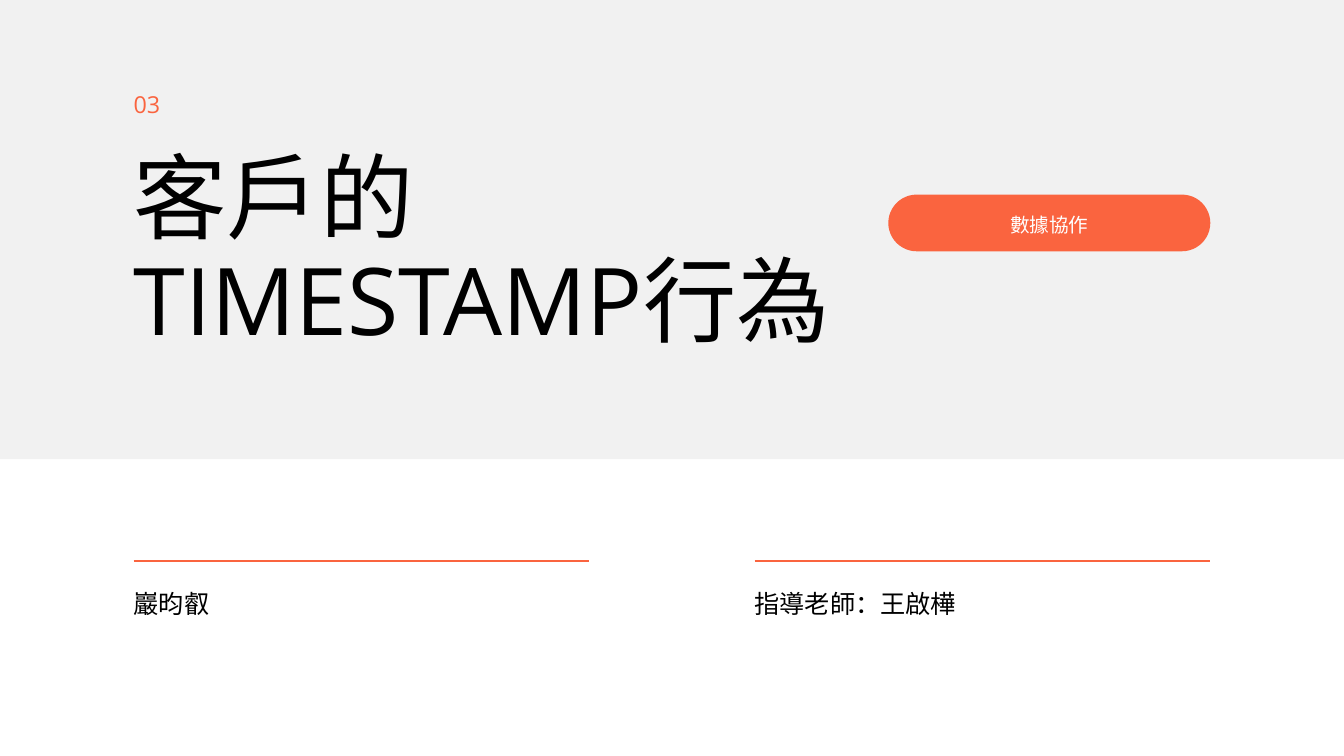
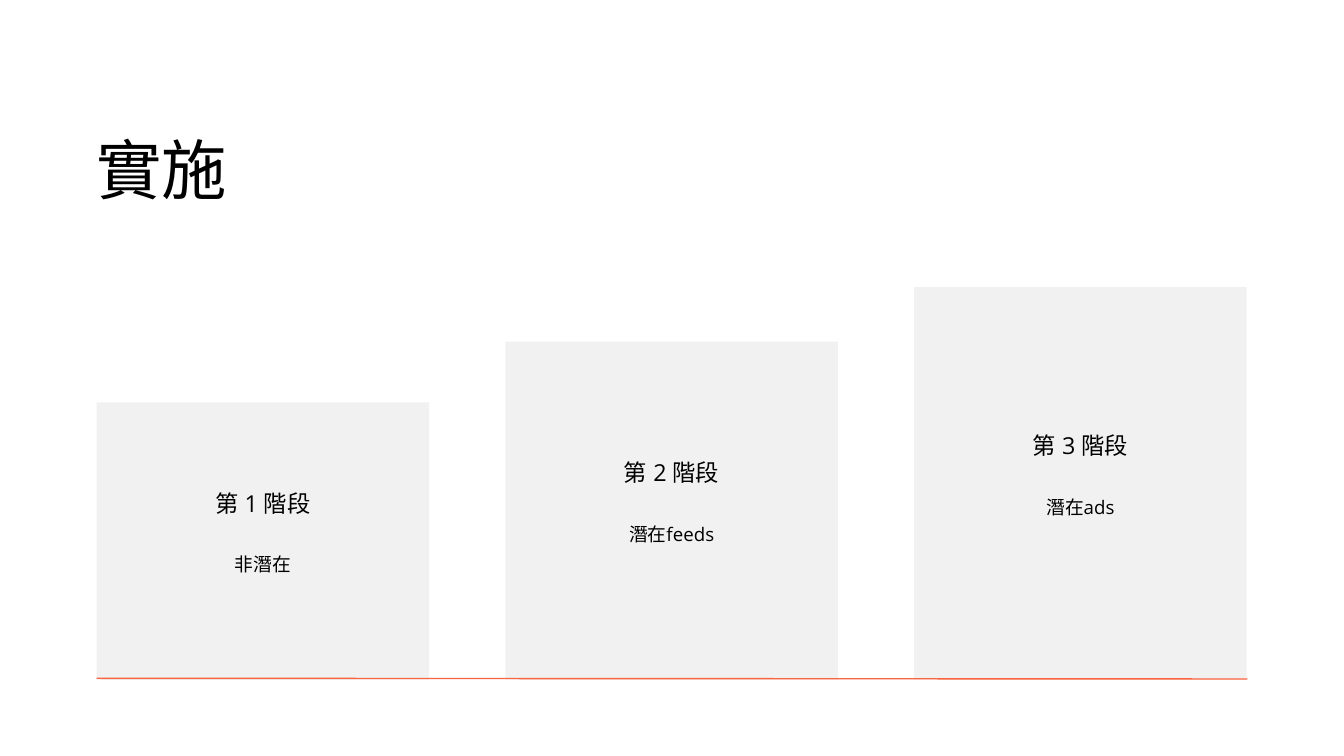
import pptx
import pptx.util
import pptx.dml.color
import pptx.enum.shapes
import pptx.enum.text
import pptx.oxml.ns
import lxml.etree

PX = 9525
FONT = "Open Sans"
ORANGE = pptx.dml.color.RGBColor(0xFA, 0x64, 0x3F)
GRAY = pptx.dml.color.RGBColor(0xF1, 0xF1, 0xF1)
BLACK = pptx.dml.color.RGBColor(0, 0, 0)
WHITE = pptx.dml.color.RGBColor(255, 255, 255)
LEFT = pptx.enum.text.PP_ALIGN.LEFT
CENTER = pptx.enum.text.PP_ALIGN.CENTER
TOP = pptx.enum.text.MSO_ANCHOR.TOP
MIDDLE = pptx.enum.text.MSO_ANCHOR.MIDDLE
SHAPES = pptx.enum.shapes.MSO_SHAPE
STRAIGHT = pptx.enum.shapes.MSO_CONNECTOR.STRAIGHT


def write(shape, lines, color=BLACK, alignment=LEFT, anchor=TOP, margin=0):
    frame = shape.text_frame
    frame.word_wrap = True
    frame.auto_size = pptx.enum.text.MSO_AUTO_SIZE.NONE
    frame.vertical_anchor = anchor
    frame.margin_left = frame.margin_right = margin * PX
    frame.margin_top = frame.margin_bottom = margin * PX
    frame.text = "\n".join(text for text, size, spacing in lines)
    for paragraph, (text, size, spacing) in zip(frame.paragraphs, lines):
        paragraph.alignment = alignment
        paragraph.line_spacing = pptx.util.Pt(spacing)
        for run in paragraph.runs:
            run.font.size = pptx.util.Pt(size)
            run.font.name = FONT
            run.font.color.rgb = color
            east_asian = lxml.etree.SubElement(run.font._element, pptx.oxml.ns.qn("a:ea"))
            east_asian.set("typeface", FONT)


def draw_block(slide, kind, left, top, width, height, color):
    shape = slide.shapes.add_shape(kind, left * PX, top * PX, width * PX, height * PX)
    shape.shadow.inherit = False
    shape.fill.solid()
    shape.fill.fore_color.rgb = color
    shape.line.fill.background()
    return shape


presentation = pptx.Presentation()
presentation.slide_width = 1920 * PX
presentation.slide_height = 1080 * PX
title_layout = presentation.slide_layouts.get_by_name("Title Only")

slides = []
for text, size, spacing, left, top, width, height in [
    ("客戶的TIMESTAMP行為", 100, 110, 191, 212, 1078, 296),
    ("實施", 70, 84, 138, 184, 850, 110),
]:
    slide = presentation.slides.add_slide(title_layout)
    title = slide.shapes.title
    title.left, title.top = left * PX, top * PX
    title.width, title.height = width * PX, height * PX
    write(title, [(text, size, spacing)])
    slides.append(slide)
cover, stages = slides

band = draw_block(cover, SHAPES.RECTANGLE, 0, 0, 1920, 656, GRAY)
cover.shapes._spTree.remove(band._element)
cover.shapes._spTree.insert(2, band._element)

pill = draw_block(cover, SHAPES.ROUNDED_RECTANGLE, 1269, 278, 460, 81, ORANGE)
pill.adjustments[0] = 0.5
write(pill, [("數據協作", 21, 29.4)], WHITE, CENTER, MIDDLE)

number = cover.shapes.add_textbox(191 * PX, 132 * PX, 60 * PX, 37 * PX)
write(number, [("03", 25, 27.5)], ORANGE)

for left, name in [(191, "巖昀叡"), (1078, "指導老師：王啟樺")]:
    label = cover.shapes.add_textbox(left * PX, 833 * PX, 651 * PX, 46 * PX)
    write(label, [(name, 27, 37.8)])

BASE = 971
for index, (height, text) in enumerate([(396, "非潛在"), (483, "潛在feeds"), (561, "潛在ads")]):
    step = draw_block(stages, SHAPES.RECTANGLE, 138 + index * 584, BASE - height, 475, height, GRAY)
    write(step, [(f"第 {index + 1} 階段", 25, 35), (text, 20, 28)],
          alignment=CENTER, anchor=MIDDLE, margin=6)
    step.text_frame.margin_bottom = 38 * PX
    step.text_frame.paragraphs[1].space_before = pptx.util.Pt(35)

for slide, left, right, start, end, thickness in [
    (cover, 191, 842, 802, 802, 2),
    (cover, 1078, 1729, 802, 802, 2),
    (stages, 138, 1782, 969, 970, 1.5),
]:
    rule = slide.shapes.add_connector(STRAIGHT, left * PX, start * PX, right * PX, end * PX)
    rule.line.color.rgb = ORANGE
    rule.line.width = pptx.util.Pt(thickness)
    lxml.etree.SubElement(rule._element.spPr, pptx.oxml.ns.qn("a:effectLst"))

presentation.save("out.pptx")
